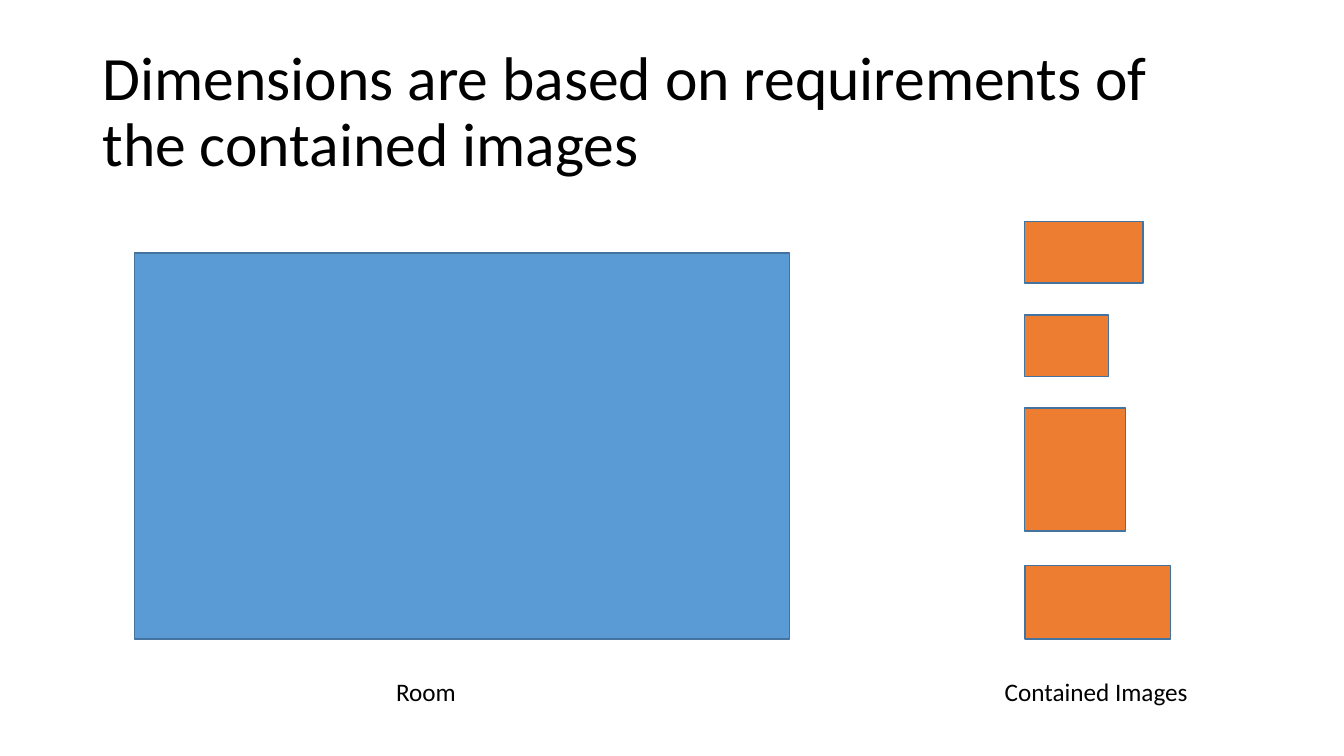
from pptx import Presentation
from pptx.dml import color
from pptx.enum import shapes, text
from pptx.util import Pt


def rgb(value):
    return color.RGBColor.from_string(value)


def format_text(frame, size, **frame_format):
    for name, value in frame_format.items():
        setattr(frame, name, value)
    paragraph = frame.paragraphs[0]
    paragraph.alignment = text.PP_ALIGN.LEFT
    font = paragraph.runs[0].font
    for name, value in {"name": "Calibri", "size": Pt(size)}.items():
        setattr(font, name, value)
    font.color.rgb = rgb("000000")
    return paragraph


presentation = Presentation()
presentation.slide_width = Pt(960)
presentation.slide_height = Pt(540)
slide = presentation.slides.add_slide(presentation.slide_layouts[5])

# Title
title = slide.shapes.title
title_box = {"left": 66, "top": 28.75, "width": 828, "height": 104.4}
for name, value in title_box.items():
    setattr(title, name, Pt(value))
title.text_frame.text = "Dimensions are based on requirements of the contained images"
paragraph = format_text(
    title.text_frame, 44, word_wrap=True,
    vertical_anchor=text.MSO_ANCHOR.MIDDLE, auto_size=text.MSO_AUTO_SIZE.NONE,
)
paragraph.line_spacing = 0.9

# Room and the images it contains: left, top, width, height, fill
room_fill, image_fill = "5B9BD5", "ED7D31"
rectangles = [
    (96, 180.7, 468, 275.8, room_fill),
    (732, 158.4, 84.5, 43.9, image_fill),
    (732, 224.9, 60, 43.9, image_fill),
    (732, 291.5, 72, 87.8, image_fill),
    (732.3, 403.9, 103.7, 52.6, image_fill),
]
for *box, fill in rectangles:
    rectangle = slide.shapes.add_shape(shapes.MSO_SHAPE.RECTANGLE, *map(Pt, box))
    rectangle.shadow.inherit = False
    rectangle.fill.solid()
    rectangle.fill.fore_color.rgb = rgb(fill)
    rectangle.line.color.rgb = rgb("43739E")
    rectangle.line.width = Pt(1)

# Captions: wording, left, width
for caption, left, width in [("Room", 275.8, 57.6), ("Contained Images", 710.6, 146.9)]:
    label = slide.shapes.add_textbox(Pt(left), Pt(479.5), Pt(width), Pt(29))
    label.text_frame.text = caption
    format_text(
        label.text_frame, 18, word_wrap=False,
        auto_size=text.MSO_AUTO_SIZE.SHAPE_TO_FIT_TEXT,
    )

presentation.save("out.pptx")
